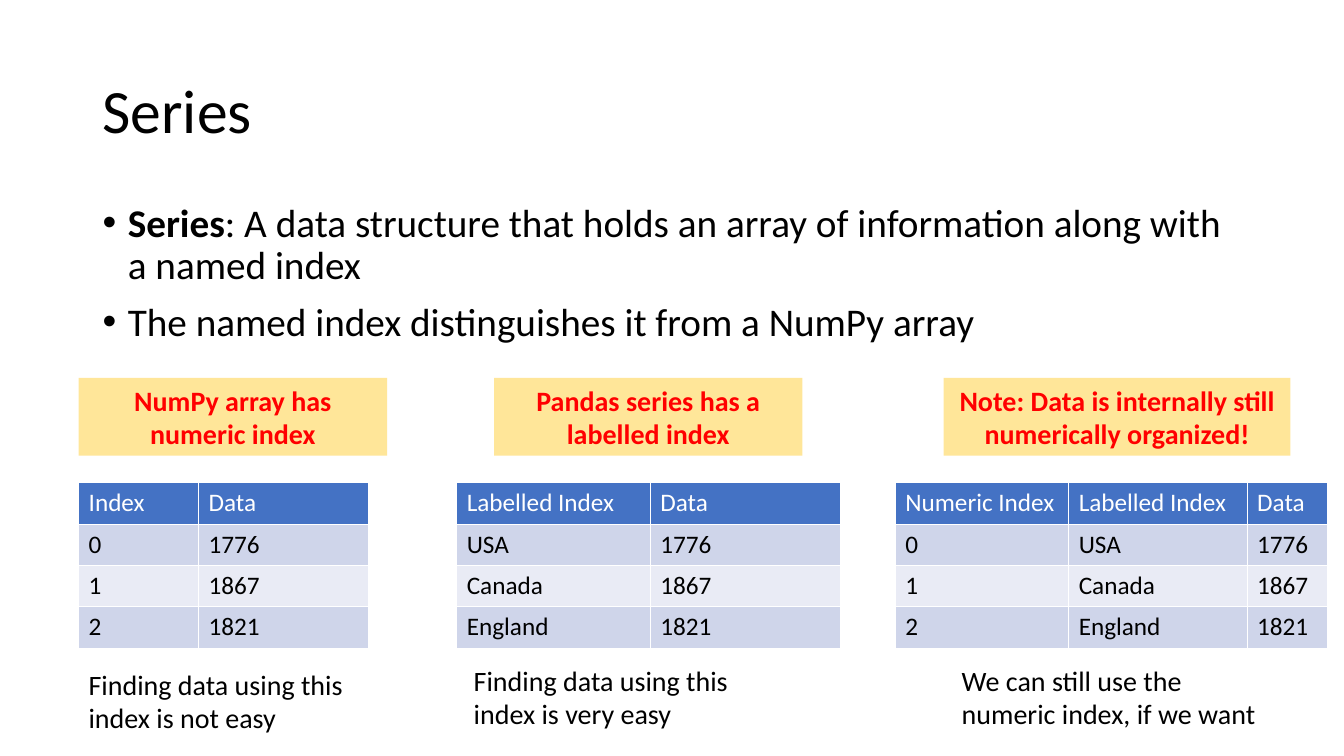
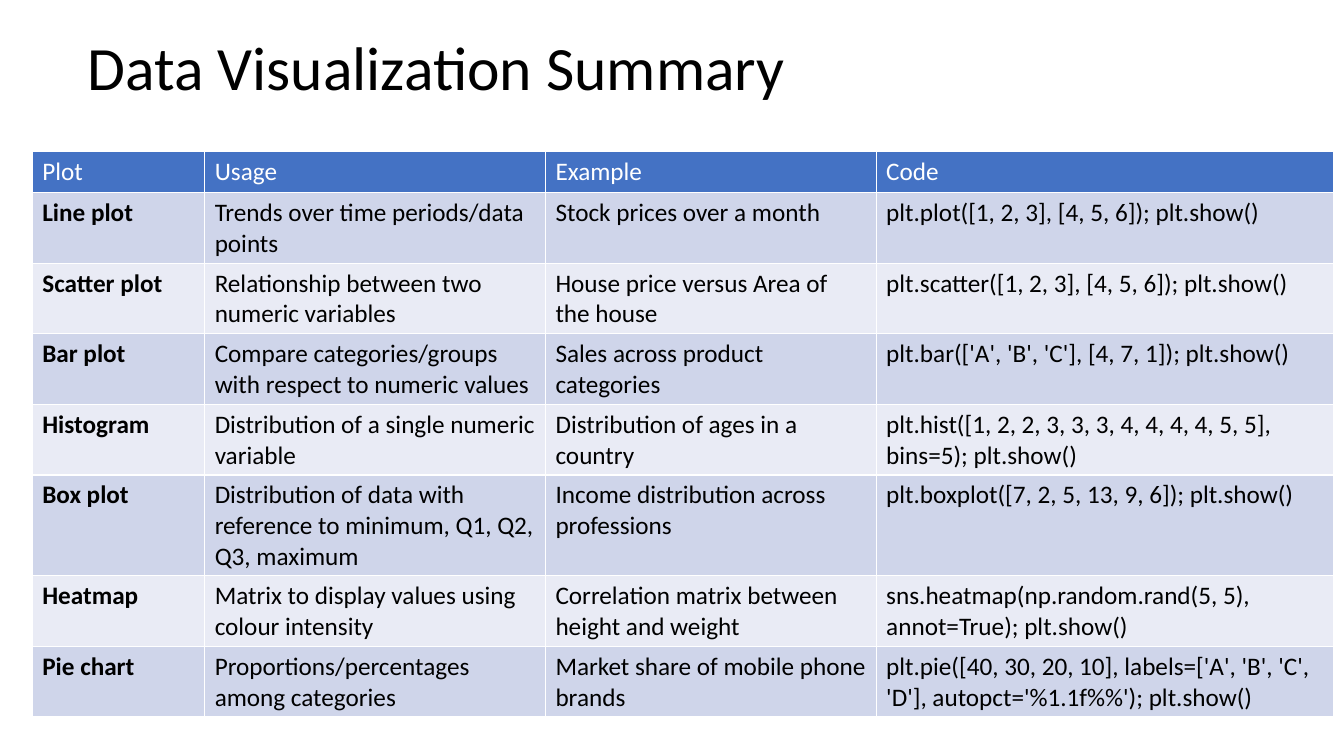
from dataclasses import dataclass

from lxml.etree import SubElement
from pptx import Presentation
from pptx.dml.color import RGBColor
from pptx.enum.shapes import MSO_SHAPE
from pptx.enum.text import MSO_ANCHOR, PP_ALIGN
from pptx.oxml.ns import qn
from pptx.util import Inches, Pt


@dataclass(frozen=True)
class Theme:
    font: str = "Calibri"
    text: str = "000000"
    header_text: str = "FFFFFF"
    header_fill: str = "4472C4"
    row_fills: tuple = ("CFD5EA", "E9EBF5")
    callout_fill: str = "FFE699"
    callout_text: str = "FF0000"
    title_size: int = 44
    body_size: int = 28
    note_size: int = 20
    table_size: int = 18
    row_height: float = 0.41


class SlideBuilder:
    def __init__(self, presentation, theme):
        self.presentation = presentation
        self.theme = theme
        self.slide = None

    def new_slide(self):
        blank_layout = self.presentation.slide_layouts[6]
        self.slide = self.presentation.slides.add_slide(blank_layout)

    def add_run(self, paragraph, text, size, color=None, bold=False):
        run = paragraph.add_run()
        run.text = text
        run.font.name = self.theme.font
        run.font.size = Pt(size)
        run.font.bold = bold
        run.font.color.rgb = RGBColor.from_string(color or self.theme.text)

    def text_frame(self, left, top, width, height):
        box = self.slide.shapes.add_textbox(
            Inches(left), Inches(top), Inches(width), Inches(height))
        box.text_frame.word_wrap = True
        return box.text_frame

    def title(self, text, left, top, width, height):
        frame = self.text_frame(left, top, width, height)
        frame.vertical_anchor = MSO_ANCHOR.MIDDLE
        paragraph = frame.paragraphs[0]
        paragraph.line_spacing = 0.9
        self.add_run(paragraph, text, self.theme.title_size)

    def bullets(self, items, left, top, width, height):
        frame = self.text_frame(left, top, width, height)
        for index, runs in enumerate(items):
            paragraph = frame.add_paragraph() if index else frame.paragraphs[0]
            paragraph.line_spacing = 0.9
            paragraph.space_before = Pt(10)
            properties = paragraph._p.get_or_add_pPr()
            properties.set("marL", str(Inches(0.25)))
            properties.set("indent", str(Inches(-0.25)))
            SubElement(properties, qn("a:buFont"), typeface="Arial")
            SubElement(properties, qn("a:buChar"), char="•")
            for text, bold in runs:
                self.add_run(paragraph, text, self.theme.body_size, bold=bold)

    def note(self, text, left, top, width, height=0.77):
        frame = self.text_frame(left, top, width, height)
        self.add_run(frame.paragraphs[0], text, self.theme.note_size)

    def callout(self, text, left, top, width, height=0.77):
        shape = self.slide.shapes.add_shape(
            MSO_SHAPE.RECTANGLE, Inches(left), Inches(top), Inches(width), Inches(height))
        shape.shadow.inherit = False
        shape.fill.solid()
        shape.fill.fore_color.rgb = RGBColor.from_string(self.theme.callout_fill)
        shape.line.fill.background()
        shape.text_frame.word_wrap = True
        paragraph = shape.text_frame.paragraphs[0]
        paragraph.alignment = PP_ALIGN.CENTER
        self.add_run(paragraph, text, self.theme.note_size, self.theme.callout_text, True)

    def table(self, rows, left, top, column_widths, bold_first_column=False):
        theme = self.theme
        table = self.slide.shapes.add_table(
            len(rows), len(column_widths), Inches(left), Inches(top),
            Inches(sum(column_widths)), Inches(theme.row_height * len(rows))).table
        for column, width in zip(table.columns, column_widths):
            column.width = Inches(width)
        for row_index, values in enumerate(rows):
            is_header = row_index == 0
            fill = theme.header_fill if is_header else theme.row_fills[(row_index - 1) % 2]
            color = theme.header_text if is_header else theme.text
            for column_index, value in enumerate(values):
                cell = table.cell(row_index, column_index)
                cell.fill.solid()
                cell.fill.fore_color.rgb = RGBColor.from_string(fill)
                bold = bold_first_column and column_index == 0 and not is_header
                self.add_run(cell.text_frame.paragraphs[0], value,
                             theme.table_size, color, bold)


def build_series(builder):
    builder.new_slide()
    builder.title("Series", 0.92, 0.4, 11.5, 1.45)
    builder.bullets([
        [("Series", True),
         (": A data structure that holds an array of information along with a named index", False)],
        [("The named index distinguishes it from a NumPy array", False)],
    ], 0.92, 1.97, 11.5, 1.6)

    numbers = ["Numeric Index", "0", "1", "2"]
    labels = ["Labelled Index", "USA", "Canada", "England"]
    data = ["Data", "1776", "1867", "1821"]
    plain_numbers = ["Index", *numbers[1:]]
    tables = [
        ((plain_numbers, data), 0.78, (1.19, 1.69)),
        ((labels, data), 4.53, (1.92, 1.89)),
        ((numbers, labels, data), 8.88, (1.72, 1.77, 0.8)),
    ]
    for columns, left, widths in tables:
        builder.table(list(zip(*columns)), left, 4.79, widths)

    callouts = [
        ("NumPy array has numeric index", 0.78, 3.06),
        ("Pandas series has a labelled index", 4.9, 3.06),
        ("Note: Data is internally still numerically organized!", 9.36, 3.44),
    ]
    for text, left, width in callouts:
        builder.callout(text, left, 3.75, width)

    notes = [
        ("Finding data using this index is not easy", 0.78, 6.57, 3.37),
        ("Finding data using this index is very easy", 4.6, 6.53, 3.24),
        ("We can still use the numeric index, if we want", 9.44, 6.53, 3.24),
    ]
    for note in notes:
        builder.note(*note)


def build_summary(builder):
    builder.new_slide()
    builder.title("Data Visualization Summary", 0.77, 0.14, 11.5, 1.11)
    rows = [
        ("Plot", "Usage", "Example", "Code"),
        ("Line plot", "Trends over time periods/data points",
         "Stock prices over a month", "plt.plot([1, 2, 3], [4, 5, 6]); plt.show()"),
        ("Scatter plot", "Relationship between two numeric variables",
         "House price versus Area of the house",
         "plt.scatter([1, 2, 3], [4, 5, 6]); plt.show()"),
        ("Bar plot", "Compare categories/groups with respect to numeric values",
         "Sales across product categories",
         "plt.bar(['A', 'B', 'C'], [4, 7, 1]); plt.show()"),
        ("Histogram", "Distribution of a single numeric variable",
         "Distribution of ages in a country",
         "plt.hist([1, 2, 2, 3, 3, 3, 4, 4, 4, 4, 5, 5], bins=5); plt.show()"),
        ("Box plot", "Distribution of data with reference to minimum, Q1, Q2, Q3, maximum",
         "Income distribution across professions",
         "plt.boxplot([7, 2, 5, 13, 9, 6]); plt.show()"),
        ("Heatmap", "Matrix to display values using colour intensity",
         "Correlation matrix between height and weight",
         "sns.heatmap(np.random.rand(5, 5), annot=True); plt.show()"),
        ("Pie chart", "Proportions/percentages among categories",
         "Market share of mobile phone brands",
         "plt.pie([40, 30, 20, 10], labels=['A', 'B', 'C', 'D'], "
         "autopct='%1.1f%%'); plt.show()"),
    ]
    builder.table(rows, 0.32, 1.5, (1.71, 3.38, 3.28, 4.54), bold_first_column=True)


def main():
    presentation = Presentation()
    presentation.slide_width = Inches(13.33)
    presentation.slide_height = Inches(7.5)
    builder = SlideBuilder(presentation, Theme())
    build_series(builder)
    build_summary(builder)
    presentation.save("out.pptx")


if __name__ == "__main__":
    main()
